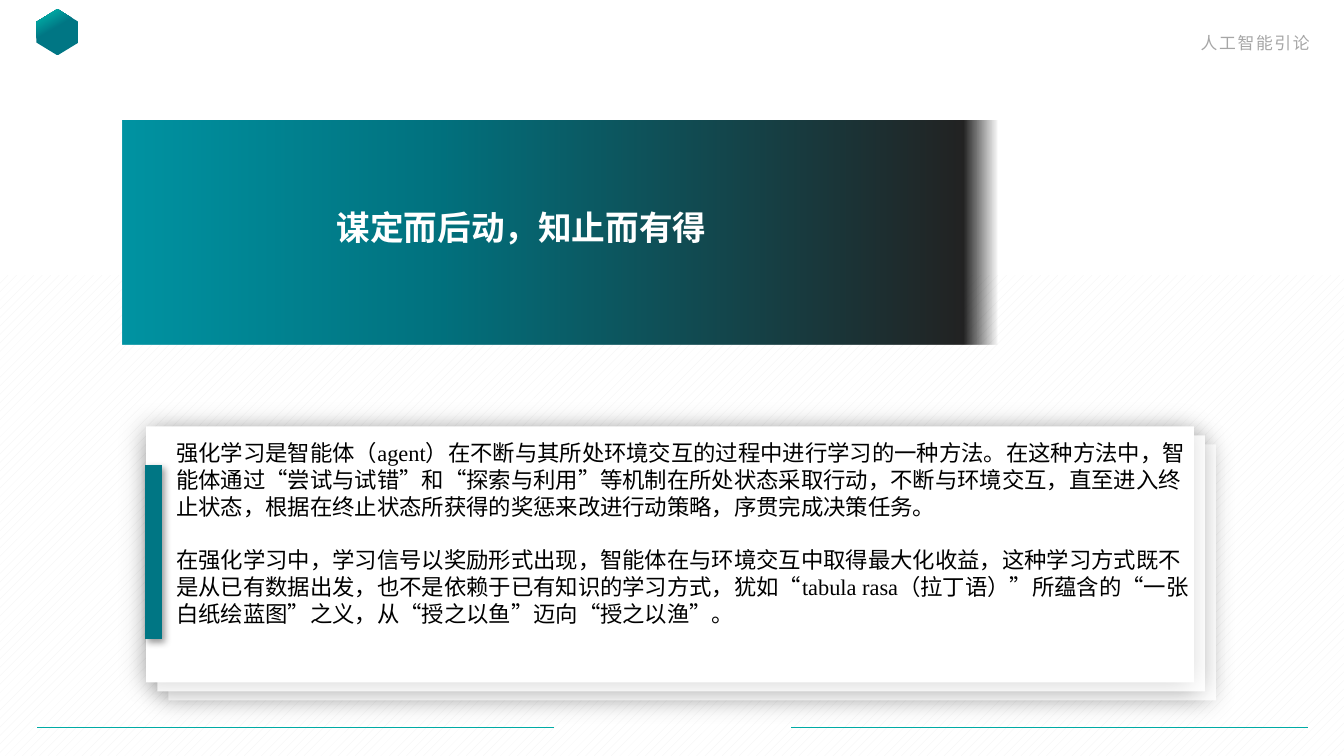
from lxml.etree import SubElement
from pptx import Presentation
from pptx.dml.color import RGBColor
from pptx.enum.dml import MSO_PATTERN
from pptx.enum.shapes import MSO_CONNECTOR, MSO_SHAPE
from pptx.enum.text import MSO_ANCHOR, MSO_AUTO_SIZE, PP_ALIGN
from pptx.oxml.ns import qn
from pptx.util import Inches, Pt

CJK_FONT = "Noto Sans CJK SC"
DARK_TEAL, TEAL = "007684", "00ABA5"

HEADING = "谋定而后动，知止而有得"
PARAGRAPHS = [
    "强化学习是智能体（agent）在不断与其所处环境交互的过程中进行学习的一种方法。"
    "在这种方法中，智能体通过“尝试与试错”和“探索与利用”等机制在所处状态采取行动，"
    "不断与环境交互，直至进入终止状态，根据在终止状态所获得的奖惩来改进行动策略，"
    "序贯完成决策任务。",
    "在强化学习中，学习信号以奖励形式出现，智能体在与环境交互中取得最大化收益，"
    "这种学习方式既不是从已有数据出发，也不是依赖于已有知识的学习方式，"
    "犹如“tabula rasa（拉丁语）”所蕴含的“一张白纸绘蓝图”之义，"
    "从“授之以鱼”迈向“授之以渔”。",
]


def color(value):
    return RGBColor.from_string(value)


def add_shape(slide, box, fill=None, kind=MSO_SHAPE.RECTANGLE):
    shape = slide.shapes.add_shape(kind, *map(Inches, box))
    shape.shadow.inherit = False
    shape.line.fill.background()
    if fill:
        shape.fill.solid()
        shape.fill.fore_color.rgb = color(fill)
    return shape


def set_gradient(shape, stops, angle=0):
    """Fill with (position %, colour, opacity %) stops."""
    shape.fill.gradient()
    shape.fill.gradient_angle = angle
    stop_list = shape.element.spPr.find(".//" + qn("a:gsLst"))
    stop_list.clear()
    for position, value, opacity in stops:
        stop = SubElement(stop_list, qn("a:gs"), pos=str(position * 1000))
        shade = SubElement(stop, qn("a:srgbClr"), val=value)
        SubElement(shade, qn("a:alpha"), val=str(opacity * 1000))


def set_shadow(shape, opacity, blur, distance, angle):
    effects = shape.element.spPr.find(qn("a:effectLst"))
    shadow = SubElement(
        effects, qn("a:outerShdw"), blurRad=str(Pt(blur)), dist=str(Pt(distance)),
        dir=str(angle * 60000), algn="ctr", rotWithShape="0")
    shade = SubElement(shadow, qn("a:srgbClr"), val="000000")
    SubElement(shade, qn("a:alpha"), val=str(opacity * 1000))


def add_line(slide, start, end, value, width):
    line = slide.shapes.add_connector(
        MSO_CONNECTOR.STRAIGHT, *map(Inches, (*start, *end)))
    line.line.color.rgb = color(value)
    line.line.width = Pt(width)
    SubElement(line.element.spPr, qn("a:effectLst"))
    return line


def place(shape, box):
    shape.left, shape.top, shape.width, shape.height = map(Inches, box)
    frame = shape.text_frame
    frame.word_wrap = True
    frame.auto_size = MSO_AUTO_SIZE.NONE
    frame.vertical_anchor = MSO_ANCHOR.TOP
    return frame


def style(para, font, size, value, bold=False):
    for span in para.runs:
        span.font.name = font
        span.font.size = Pt(size)
        span.font.bold = bold
        span.font.color.rgb = color(value)
        SubElement(span.font._element, qn("a:ea"), typeface=CJK_FONT)


def add_header(slide, box):
    left, top, width, _ = box
    emblem = add_shape(slide, (left + 0.34, top + 0.11, 0.46, 0.42),
                       kind=MSO_SHAPE.HEXAGON)
    emblem.rotation = 90
    emblem.adjustments[0] = 0.305
    set_gradient(emblem, [(57, DARK_TEAL, 100), (87, TEAL, 100)], 210)

    label_box = (left + width - 3.76, top + 0.28, 3.52, 0.3)
    label = slide.shapes.add_textbox(*map(Inches, label_box))
    para = place(label, label_box).paragraphs[0]
    para.text = "人工智能引论"
    para.alignment = PP_ALIGN.RIGHT
    style(para, CJK_FONT, 12, "A6A6A6")
    para.runs[0].font._element.set("spc", "120")


def add_hatching(slide, box):
    fill = add_shape(slide, box).fill
    fill.patterned()
    fill.pattern = MSO_PATTERN.DASHED_UPWARD_DIAGONAL
    fill.fore_color.rgb = color("F2F2F2")
    fill.back_color.rgb = color("FFFFFF")


def add_banner(slide, box):
    left, top, _, _ = box
    banner = add_shape(slide, box)
    set_gradient(banner, [(0, "0093A2", 100), (36, "01717E", 100),
                          (96, "222222", 100), (100, "222222", 0)])
    title = slide.shapes.title
    banner.element.addnext(title.element)
    para = place(title, (left + 1.39, top + 0.68, 5.51, 0.73)).paragraphs[0]
    para.text = HEADING
    para.alignment = PP_ALIGN.JUSTIFY
    para.line_spacing = 1.3
    para._p.get_or_add_pPr().set("indent", str(Inches(0.63)))
    style(para, "Calibri", 24, "FFFFFF", bold=True)


def add_card(slide, box):
    """Stack three sheets, the front one filling the box, and write on it."""
    left, top, width, height = box
    for depth, opacity in ((2, 22), (1, 30), (0, 19)):
        sheet = add_shape(
            slide, (left + 0.11 * depth, top + 0.09 * depth, width, height), "FFFFFF")
        set_shadow(sheet, opacity, 19, 3, 180)

    marker = add_line(slide, (left + 0.07, top + 2.11), (left + 0.07, top + 0.38),
                      DARK_TEAL, 12)
    set_shadow(marker, 40, 5, 3, 45)

    text_box = (left + 0.2, top + 0.08, 10.24, 1.99)
    body = slide.shapes.add_textbox(*map(Inches, text_box))
    frame = place(body, text_box)
    frame.text = "\n".join(PARAGRAPHS)
    for para in frame.paragraphs:
        style(para, "Times New Roman", 16, "000000")
    frame.paragraphs[1].space_before = Pt(19)


def add_footer(slide, box):
    left, top, width, _ = box
    length = 5.12
    for start in (left, left + width - length):
        add_line(slide, (start, top), (start + length, top), TEAL, 0.5)


def main():
    deck = Presentation()
    deck.slide_width, deck.slide_height = Inches(13.33), Inches(7.5)
    slide = deck.slides.add_slide(deck.slide_layouts[5])
    add_header(slide, (0, 0, 13.33, 0.7))
    add_hatching(slide, (0, 2.73, 13.33, 4.77))
    add_card(slide, (1.45, 4.23, 10.39, 2.54))
    add_banner(slide, (1.22, 1.2, 8.67, 2.22))
    add_footer(slide, (0.37, 7.22, 12.6, 0))
    deck.save("out.pptx")


if __name__ == "__main__":
    main()
